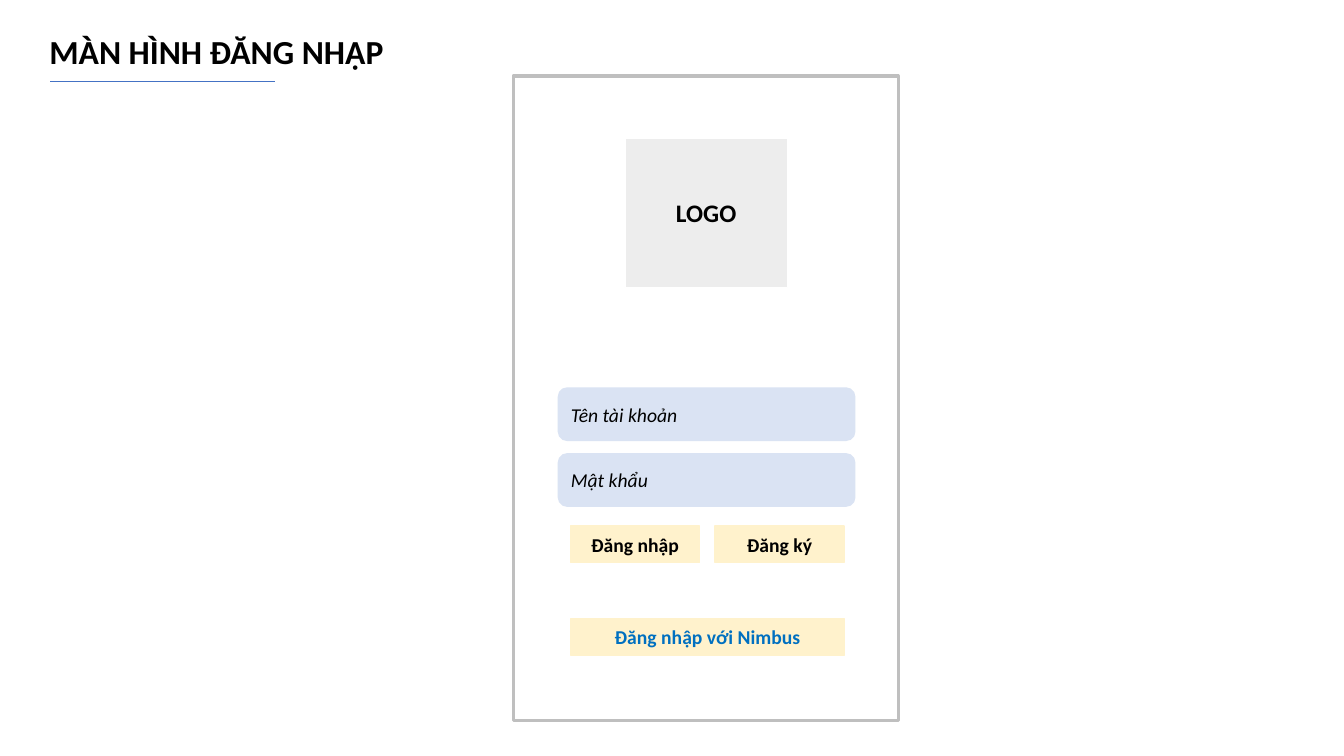
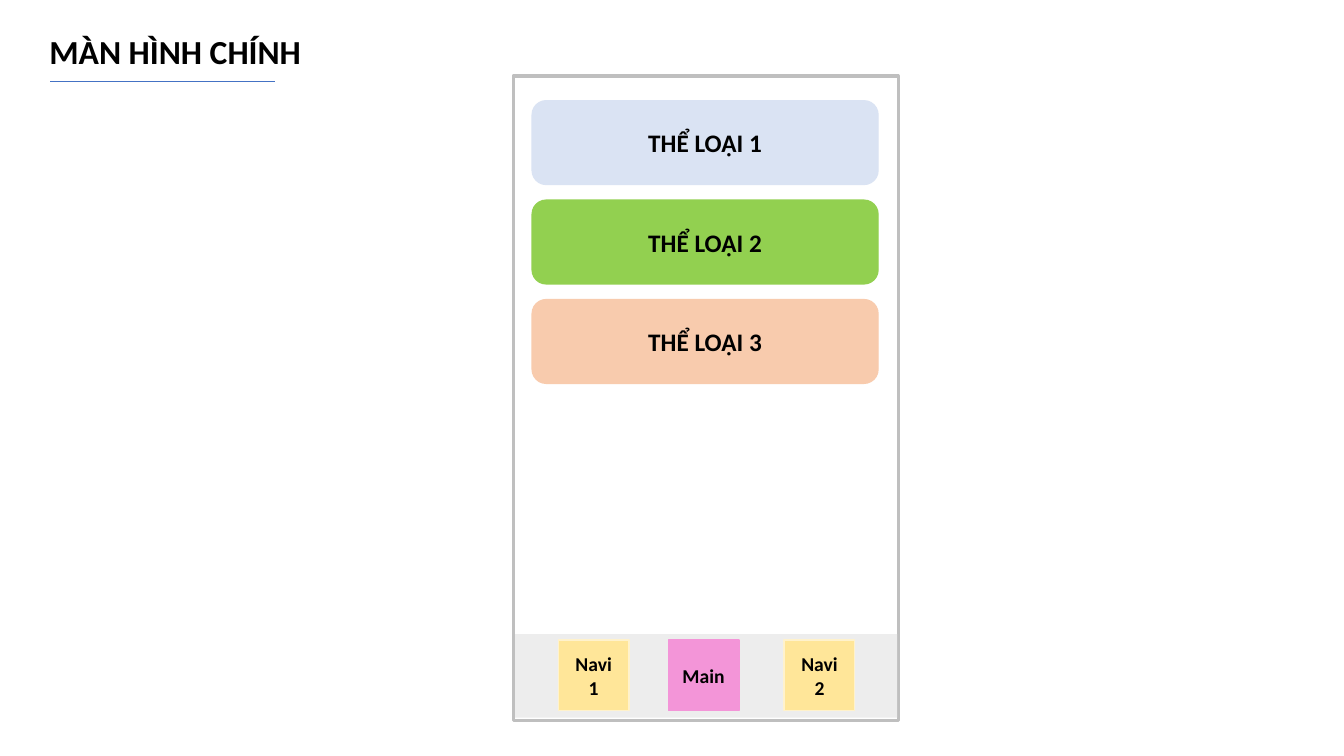
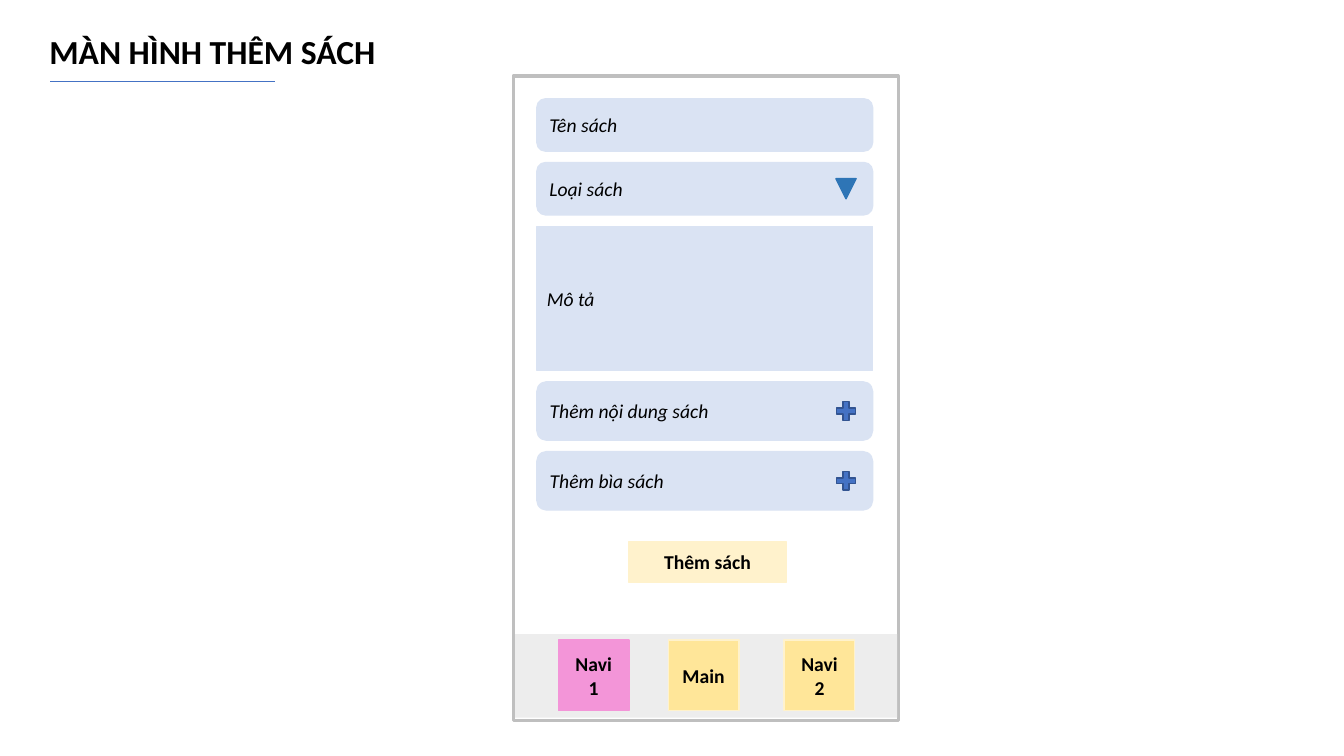
from lxml import etree
from pptx import Presentation
from pptx.dml.color import RGBColor
from pptx.enum.shapes import MSO_CONNECTOR, MSO_SHAPE
from pptx.enum.text import MSO_ANCHOR, MSO_AUTO_SIZE, PP_ALIGN
from pptx.oxml.ns import qn
from pptx.util import Inches, Pt

RECT = MSO_SHAPE.RECTANGLE
ROUNDED = MSO_SHAPE.ROUNDED_RECTANGLE
TRIANGLE = MSO_SHAPE.ISOSCELES_TRIANGLE
PLUS = MSO_SHAPE.MATH_PLUS
STRAIGHT = MSO_CONNECTOR.STRAIGHT
MIDDLE = MSO_ANCHOR.MIDDLE
LEFT, CENTER = PP_ALIGN.LEFT, PP_ALIGN.CENTER
FIT_SHAPE = MSO_AUTO_SIZE.SHAPE_TO_FIT_TEXT

WIDTH, HEIGHT = Inches(13.333), Inches(7.5)
FONT = "Calibri"
BLACK, WHITE, GREY = "000000", "FFFFFF", "EDEDED"
FRAME, ACCENT, ACCENT_EDGE = "BFBFBF", "4472C4", "325491"
PALE_BLUE, ARROW_BLUE, LINK_BLUE = "DAE3F3", "2E75B6", "0070C0"
CREAM, YELLOW, PINK = "FFF2CC", "FFE699", "F395D8"
GREEN, PEACH = "92D050", "F8CBAD"


def rgb(value):
    return RGBColor.from_string(value)


def across(percent):
    return round(WIDTH * percent / 100)


def down(percent):
    return round(HEIGHT * percent / 100)


def place(left, top, width, height):
    return across(left), down(top), across(width), down(height)


def write(holder, text, size, align=LEFT, color=BLACK, bold=True, italic=False):
    paragraph = holder.text_frame.paragraphs[0]
    paragraph.text = text
    paragraph.alignment = align
    font = paragraph.font
    font.name, font.size, font.bold, font.italic = FONT, Pt(size), bold, italic
    font.color.rgb = rgb(color)


def add_block(slide, kind, box, fill, line=None, weight=1):
    block = slide.shapes.add_shape(kind, *place(*box))
    block.shadow.inherit = False
    block.fill.solid()
    block.fill.fore_color.rgb = rgb(fill)
    if line:
        block.line.color.rgb = rgb(line)
        block.line.width = Pt(weight)
    else:
        block.line.fill.background()
    return block


def add_label(slide, kind, box, text, fill, line=None, size=14, **style):
    label = add_block(slide, kind, box, fill, line or fill)
    label.text_frame.vertical_anchor = MIDDLE
    write(label, text, size, **style)


def add_field(slide, box, text, kind=ROUNDED):
    add_label(slide, kind, box, text, PALE_BLUE, bold=False, italic=True)


def add_button(slide, box, text, color=BLACK):
    add_label(slide, RECT, box, text, CREAM, align=CENTER, color=color)


def add_icon(slide, kind, middle, width, fill, line):
    height = width * WIDTH / HEIGHT
    box = (62.95 - width / 2, middle - height / 2, width, height)
    return add_block(slide, kind, box, fill, line)


def add_screen(deck, title, title_width):
    slide = deck.slides.add_slide(deck.slide_layouts[6])
    heading = slide.shapes.add_textbox(*place(2.93, 3.47, title_width, 6.67))
    heading.text_frame.word_wrap = False
    heading.text_frame.auto_size = FIT_SHAPE
    write(heading, title, 24)
    rule = slide.shapes.add_connector(
        STRAIGHT, across(3.75), down(10.8), across(20.48), down(10.8))
    rule.line.color.rgb = rgb(ACCENT)
    rule.line.width = Pt(0.5)
    etree.SubElement(rule.element.spPr, qn("a:effectLst"))
    add_block(slide, RECT, (38.18, 10.05, 28.65, 85.2), WHITE, FRAME, 2.25)
    return slide


def add_navigation(slide, active):
    add_block(slide, RECT, (38.33, 83.87, 28.43, 11.07), GREY)
    for left, name in ((41.55, "Navi 1"), (49.73, "Main"), (58.35, "Navi 2")):
        fill, line = (PINK, PINK) if name == active else (YELLOW, CREAM)
        add_label(slide, RECT, (left, 84.67, 5.25, 9.33), name, fill, line,
                  align=CENTER)


def build_login(deck):
    slide = add_screen(deck, "MÀN HÌNH ĐĂNG NHẬP", 26.55)
    add_label(slide, RECT, (46.5, 18.27, 12.08, 19.73), "LOGO", GREY, WHITE,
              size=18, align=CENTER)
    for row, prompt in enumerate(("Tên tài khoản", "Mật khẩu")):
        add_field(slide, (41.55, 51.33 + row * 8.7, 22.05, 6.93), prompt)
    for column, action in enumerate(("Đăng nhập", "Đăng ký")):
        add_button(slide, (42.45 + column * 10.75, 69.6, 9.6, 4.8), action)
    add_button(slide, (42.45, 81.87, 20.4, 4.8), "Đăng nhập với Nimbus",
               LINK_BLUE)


def build_home(deck):
    slide = add_screen(deck, "MÀN HÌNH CHÍNH", 20.4)
    add_navigation(slide, "Main")
    for row, fill in enumerate((PALE_BLUE, GREEN, PEACH)):
        add_label(slide, ROUNDED, (39.6, 13.33 + row * 13.15, 25.73, 11.07),
                  f"THỂ LOẠI {row + 1}", fill, size=18, align=CENTER)


def build_add_book(deck):
    slide = add_screen(deck, "MÀN HÌNH THÊM SÁCH", 26.03)
    add_navigation(slide, "Navi 1")
    fields = (
        ("Tên sách", 6.93, ROUNDED, None),
        ("Loại sách", 6.93, ROUNDED, TRIANGLE),
        ("Mô tả", 19.07, RECT, None),
        ("Thêm nội dung sách", 7.73, ROUNDED, PLUS),
        ("Thêm bìa sách", 7.73, ROUNDED, PLUS),
    )
    top = 13.07
    for prompt, height, kind, icon in fields:
        add_field(slide, (39.95, top, 24.98, height), prompt, kind)
        middle = top + height / 2
        if icon == TRIANGLE:
            arrow = add_icon(slide, icon, middle, 1.5, ARROW_BLUE, ARROW_BLUE)
            arrow.rotation = 180
        elif icon == PLUS:
            add_icon(slide, icon, middle, 1.88, ACCENT, ACCENT_EDGE)
        top += height + 1.5
    add_button(slide, (46.8, 71.6, 11.7, 5.47), "Thêm sách")


def main():
    deck = Presentation()
    deck.slide_width, deck.slide_height = WIDTH, HEIGHT
    build_login(deck)
    build_home(deck)
    build_add_book(deck)
    deck.save("out.pptx")


main()
